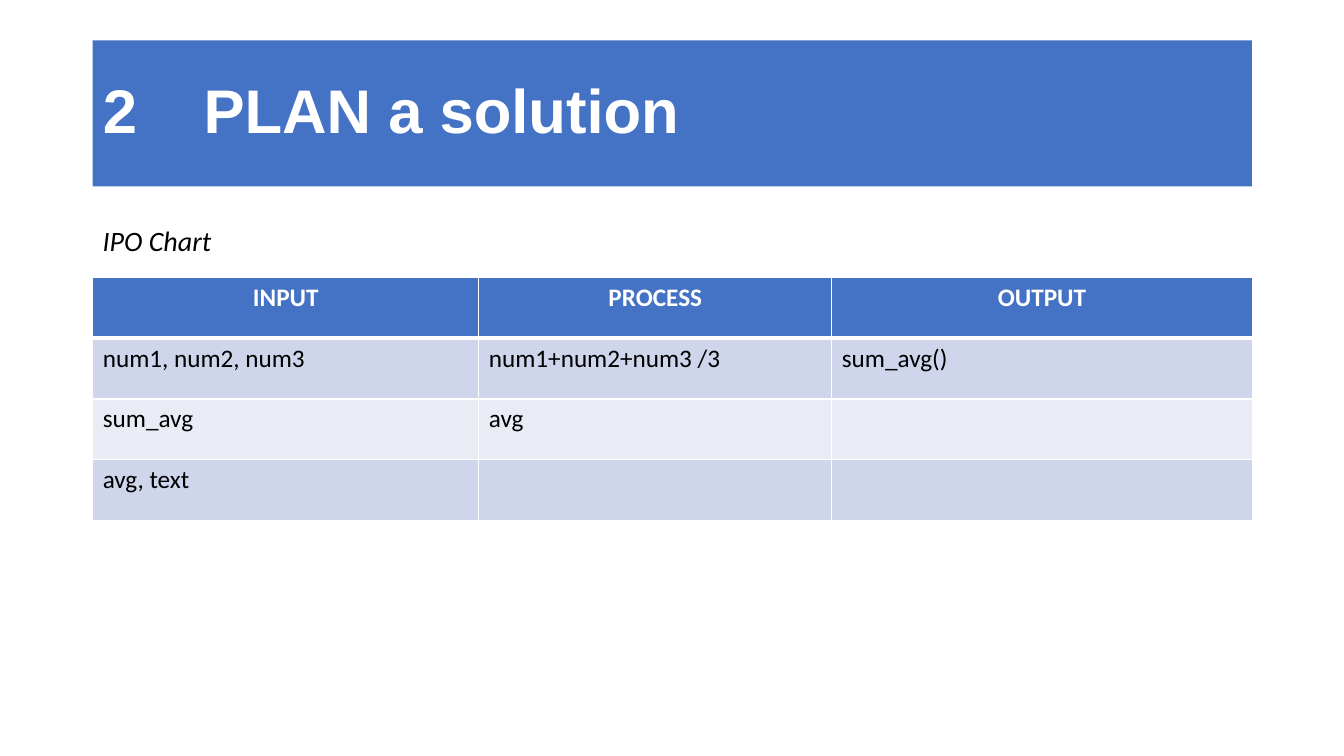
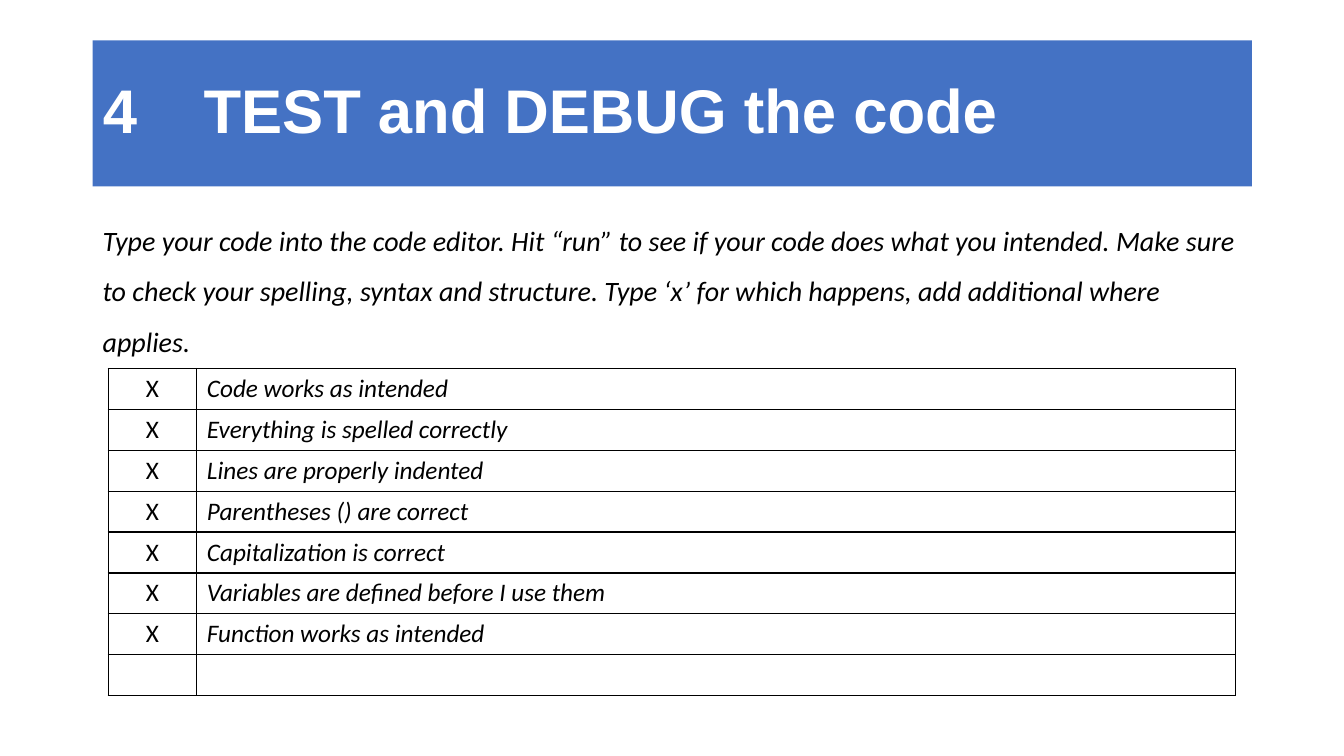
"""Build two coding-worksheet slides: an IPO chart and a debugging checklist."""
from dataclasses import dataclass

from lxml import etree
from pptx import Presentation
from pptx.dml.color import RGBColor
from pptx.enum.text import MSO_ANCHOR, MSO_AUTO_SIZE, PP_ALIGN
from pptx.oxml.ns import qn
from pptx.util import Inches, Pt

LEFT, CENTER = PP_ALIGN.LEFT, PP_ALIGN.CENTER
MIDDLE, TOP = MSO_ANCHOR.MIDDLE, MSO_ANCHOR.TOP
NO_FIT = MSO_AUTO_SIZE.NONE
TITLE_ONLY = 5


@dataclass(frozen=True)
class Theme:
    accent: str = "4472C4"
    band_dark: str = "CFD5EA"
    band_light: str = "E9EBF5"
    ink: str = "000000"
    paper: str = "FFFFFF"
    title_font: str = "Arial"
    body_font: str = "Calibri"
    title_size: int = 44
    intro_size: int = 20
    cell_size: int = 18


theme = Theme()


def add_text(paragraph, text, size, color, font=theme.body_font, bold=False, italic=False):
    run = paragraph.add_run()
    run.text = text
    run.font.name = font
    run.font.size = Pt(size)
    run.font.bold = bold
    run.font.italic = italic
    run.font.color.rgb = RGBColor.from_string(color)


def set_borders(cell, color, top=1, bottom=1):
    properties = cell._tc.get_or_add_tcPr()
    sides = (("L", 1), ("R", 1), ("T", top), ("B", bottom))
    for position, (side, width) in enumerate(sides):
        line = etree.Element(qn(f"a:ln{side}"), w=str(Pt(width)))
        fill = etree.SubElement(line, qn("a:solidFill"))
        etree.SubElement(fill, qn("a:srgbClr"), val=color)
        properties.insert(position, line)


deck = Presentation()
deck.slide_width, deck.slide_height = Inches(13.33), Inches(7.5)
col, row = deck.slide_width / 100, deck.slide_height / 100
margin, content_width = int(6.9 * col), int(86.25 * col)

pages = [
    {
        "title": "2\tPLAN a solution",
        "intro": "IPO Chart",
        "left": 6.9, "top": 36.67, "columns": (28.73, 26.26, 31.28), "row_height": 8.05,
        "has_header": True, "border": theme.paper,
        "rows": [
            ("INPUT", "PROCESS", "OUTPUT"),
            ("num1, num2, num3", "num1+num2+num3 /3", "sum_avg()"),
            ("sum_avg", "avg", ""),
            ("avg, text", "", ""),
        ],
    },
    {
        "title": "4\tTEST and DEBUG the code",
        "intro": "Type your code into the code editor. Hit “run” to see if your code does what "
                 "you intended. Make sure to check your spelling, syntax and structure. "
                 "Type ‘x’ for which happens, add additional where applies.",
        "left": 8.05, "top": 48.75, "columns": (6.6, 77.27), "row_height": 5.41,
        "has_header": False, "border": theme.ink,
        "rows": [("X", check) for check in (
            "Code works as intended",
            "Everything is spelled correctly",
            "Lines are properly indented",
            "Parentheses () are correct",
            "Capitalization is correct",
            "Variables are defined before I use them",
            "Function works as intended",
        )] + [("", "")],
    },
]

for page in pages:
    slide = deck.slides.add_slide(deck.slide_layouts[TITLE_ONLY])

    title = slide.shapes.title
    title.left, title.top = margin, int(5.33 * row)
    title.width, title.height = content_width, int(19.33 * row)
    title.fill.solid()
    title.fill.fore_color.rgb = RGBColor.from_string(theme.accent)
    title.text_frame.auto_size = NO_FIT
    title.text_frame.vertical_anchor = MIDDLE
    heading = title.text_frame.paragraphs[0]
    heading.alignment = LEFT
    heading.line_spacing = 0.9
    tab_stops = etree.SubElement(heading._p.get_or_add_pPr(), qn("a:tabLst"))
    etree.SubElement(tab_stops, qn("a:tab"), pos=str(Inches(1)), algn="l")
    add_text(heading, page["title"], theme.title_size, theme.paper, theme.title_font, bold=True)

    intro = slide.shapes.add_textbox(margin, int(26.67 * row), content_width, int(63.45 * row))
    intro.text_frame.word_wrap = True
    intro.text_frame.auto_size = NO_FIT
    intro.text_frame.vertical_anchor = TOP
    instruction = intro.text_frame.paragraphs[0]
    instruction.line_spacing = 1.5
    instruction.space_before = Pt(10)
    add_text(instruction, page["intro"], theme.intro_size, theme.ink, italic=True)

    rows, columns, has_header = page["rows"], page["columns"], page["has_header"]
    row_height = int(page["row_height"] * row)
    grid = slide.shapes.add_table(
        len(rows), len(columns), int(page["left"] * col), int(page["top"] * row),
        int(sum(columns) * col), row_height * len(rows)).table
    grid.first_row = has_header
    grid.horz_banding = has_header
    for grid_column, share in zip(grid.columns, columns):
        grid_column.width = int(share * col)

    for r, entries in enumerate(rows):
        grid.rows[r].height = row_height
        is_header = has_header and r == 0
        for c, entry in enumerate(entries):
            cell = grid.cell(r, c)
            if has_header:
                band = theme.band_dark if r % 2 else theme.band_light
                cell.fill.solid()
                cell.fill.fore_color.rgb = RGBColor.from_string(theme.accent if is_header else band)
            else:
                cell.fill.background()
            set_borders(cell, page["border"],
                        top=3 if has_header and r == 1 else 1, bottom=3 if is_header else 1)
            is_mark = not has_header and c == 0
            line = cell.text_frame.paragraphs[0]
            line.alignment = CENTER if is_header or is_mark else LEFT
            if entry:
                add_text(line, entry, theme.cell_size, theme.paper if is_header else theme.ink,
                         bold=is_header, italic=not has_header and not is_mark)

deck.save("out.pptx")
